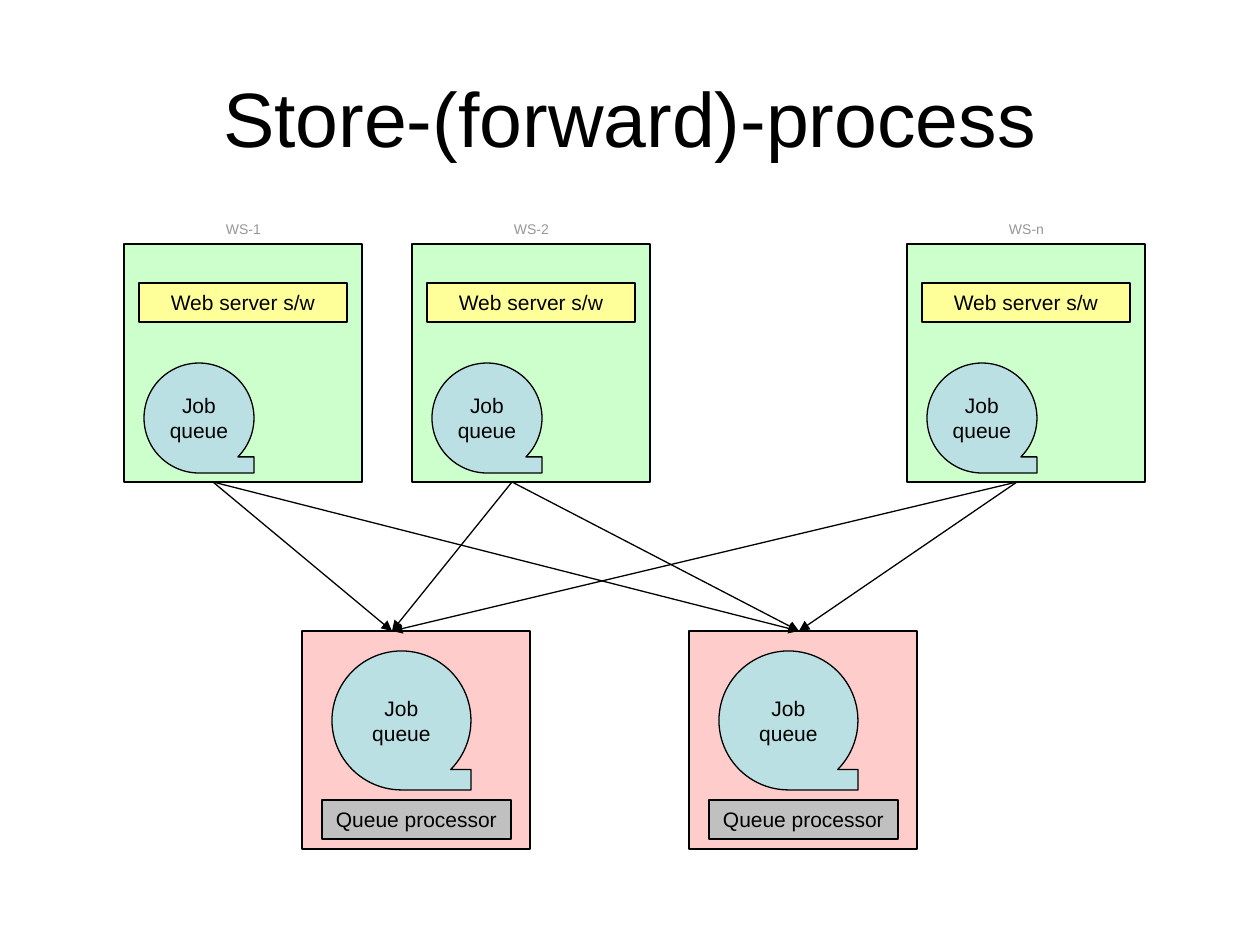
"""Build the store-(forward)-process slide: web servers feeding queue processors."""
from lxml import etree
from pptx import Presentation
from pptx import util as u
from pptx.dml.color import RGBColor
from pptx.enum import shapes, text
from pptx.oxml import ns

PX = 914400 / 126
FONT = "Arial"
COLORS = {
    "black": "000000", "label": "969696", "server": "CCFFCC", "web": "FFFF99",
    "queue": "BBE0E3", "processor": "FFCCCC", "worker": "C0C0C0",
}
RECT = shapes.MSO_SHAPE.RECTANGLE
PROCESS = shapes.MSO_SHAPE.FLOWCHART_PROCESS
TAPE = shapes.MSO_SHAPE.FLOWCHART_SEQUENTIAL_ACCESS_STORAGE

TITLE = "Store-(forward)-process"
SERVERS = [("WS-1", 124, 213), ("WS-2", 412, 512), ("WS-n", 907, 1017)]
PROCESSORS = [(302, 392), (689, 799)]
SERVER_TOP, PROCESSOR_TOP = 244, 631
SERVER_HEIGHT = 238

SERVER_PARTS = [
    (RECT, 0, 0, 238, SERVER_HEIGHT, "server", ""),
    (PROCESS, 15, 39, 208, 39, "web", "Web server s/w"),
    (TAPE, 20, 119, 110, 110, "queue", "Job\nqueue"),
]
PROCESSOR_PARTS = [
    (RECT, 0, 0, 228, 218, "processor", ""),
    (TAPE, 30, 20, 139, 139, "queue", "Job\nqueue"),
    (RECT, 20, 169, 189, 39, "worker", "Queue processor"),
]


def px(*lengths):
    return [round(length * PX) for length in lengths]


def rgb(name):
    return RGBColor.from_string(COLORS[name])


def write(shape, words, size, color="black", wrap=False):
    frame = shape.text_frame
    frame.text = words
    frame.word_wrap = wrap
    frame.vertical_anchor = text.MSO_ANCHOR.MIDDLE
    for paragraph in frame.paragraphs:
        paragraph.alignment = text.PP_ALIGN.CENTER
        for run in paragraph.runs:
            run.font.name = FONT
            run.font.size = u.Pt(size)
            run.font.color.rgb = rgb(color)


def add_label(parent, box, words, size, color="black"):
    write(parent.add_textbox(*px(*box)), words, size, color, wrap=True)


def add_node(parent, left, top, parts):
    for kind, dx, dy, width, height, fill, words in parts:
        shape = parent.add_shape(kind, *px(left + dx, top + dy, width, height))
        shape.shadow.inherit = False
        shape.fill.solid()
        shape.fill.fore_color.rgb = rgb(fill)
        shape.line.color.rgb = rgb("black")
        shape.line.width = u.Pt(0.75)
        if words:
            write(shape, words, 12)


def add_arrow(parent, start, end):
    arrow = parent.add_connector(shapes.MSO_CONNECTOR.STRAIGHT, *px(*start, *end))
    arrow.line.color.rgb = rgb("black")
    arrow.line.width = u.Pt(0.75)
    line = arrow.line._get_or_add_ln()
    etree.SubElement(line, ns.qn("a:tailEnd"), type="triangle")
    etree.SubElement(arrow._element.spPr, ns.qn("a:effectLst"))


def main():
    presentation = Presentation()
    presentation.slide_width, presentation.slide_height = px(1260, 945)
    slide = presentation.slides.add_slide(presentation.slide_layouts[6])
    add_label(slide.shapes, (63, 38, 1134, 158), TITLE, 44)

    for name, left, _ in SERVERS:
        server = slide.shapes.add_group_shape().shapes
        add_node(server, left, SERVER_TOP, SERVER_PARTS)
        add_label(server, (left + 35, SERVER_TOP - 30, 169, 30), name, 8, "label")

    for left, _ in PROCESSORS:
        processor = slide.shapes.add_group_shape().shapes
        add_node(processor, left, PROCESSOR_TOP, PROCESSOR_PARTS)

    arrows = slide.shapes.add_group_shape().shapes
    for _, target in PROCESSORS:
        for _, _, source in SERVERS:
            add_arrow(arrows, (source, SERVER_TOP + SERVER_HEIGHT),
                      (target, PROCESSOR_TOP))

    presentation.save("out.pptx")


if __name__ == "__main__":
    main()
